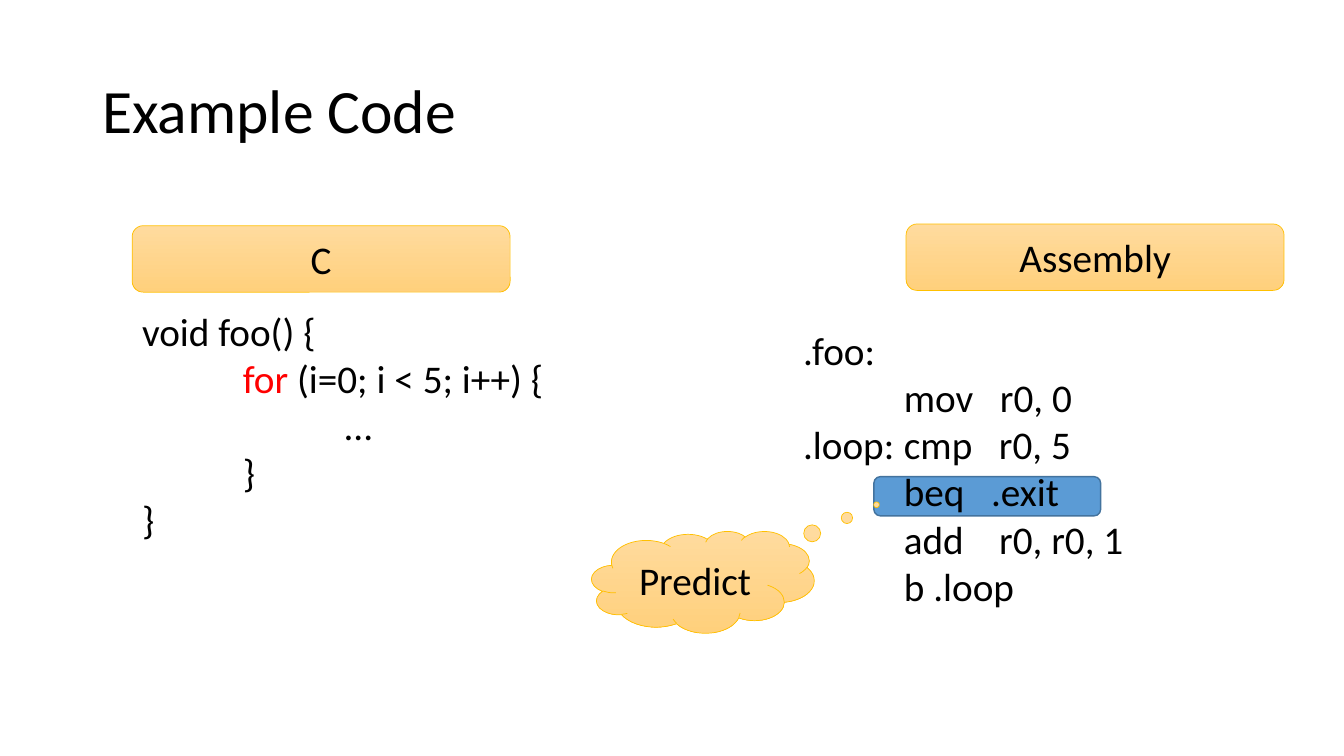
from lxml import etree
from pptx import Presentation
from pptx.dml.color import RGBColor
from pptx.enum.shapes import MSO_SHAPE as Shape
from pptx.enum.text import MSO_ANCHOR as Anchor, MSO_AUTO_SIZE as AutoSize, PP_ALIGN as Align
from pptx.oxml.ns import qn
from pptx.util import Pt

FONT = "Calibri"
BLACK = RGBColor(0x00, 0x00, 0x00)
RED = RGBColor(0xFF, 0x00, 0x00)
BLUE = RGBColor(0x5B, 0x9B, 0xD5)
DARK_BLUE = RGBColor(0x43, 0x73, 0x9E)
GOLD = RGBColor(0xFF, 0xC0, 0x00)
LIGHT_ORANGE = RGBColor(0xFF, 0xDB, 0x9E)
ORANGE = RGBColor(0xFF, 0xD0, 0x7C)

TAB_WIDTH = 72
C_CODE = ["void foo() {", "\tfor (i=0; i < 5; i++) {", "\t\t...", "\t}", "}"]
ASSEMBLY_CODE = [
    ".foo:",
    "\tmov   r0, 0",
    ".loop:\tcmp   r0, 5",
    "\tbeq   .exit",
    "\tadd    r0, r0, 1",
    "\tb .loop",
]


def set_font(font, size, color=BLACK):
    font.name = FONT
    font.size = Pt(size)
    font.color.rgb = color


def add_tab_stops(paragraph, count):
    tab_list = etree.SubElement(paragraph._p.get_or_add_pPr(), qn("a:tabLst"))
    for number in range(1, count + 1):
        position = str(Pt(TAB_WIDTH * number))
        etree.SubElement(tab_list, qn("a:tab"), pos=position, algn="l")


def add_title(slide, text):
    box = slide.shapes.add_textbox(Pt(66), Pt(28.75), Pt(828), Pt(104.4))
    frame = box.text_frame
    frame.word_wrap = True
    frame.vertical_anchor = Anchor.MIDDLE
    paragraph = frame.paragraphs[0]
    paragraph.text = text
    paragraph.line_spacing = 0.9
    set_font(paragraph.font, 44)


def add_code(slide, lines, left, top, width, height, keyword=None):
    """Add a code listing, with the keyword shown in red."""
    box = slide.shapes.add_textbox(Pt(left), Pt(top), Pt(width), Pt(height))
    frame = box.text_frame
    frame.word_wrap = False
    frame.auto_size = AutoSize.SHAPE_TO_FIT_TEXT
    for index, line in enumerate(lines):
        paragraph = frame.add_paragraph() if index else frame.paragraphs[0]
        add_tab_stops(paragraph, 2)
        set_font(paragraph.font, 28)
        if keyword and keyword in line:
            before, after = line.split(keyword, 1)
            for part in (before, keyword, after):
                run = paragraph.add_run()
                run.text = part
                set_font(run.font, 28, RED if part == keyword else BLACK)
        else:
            paragraph.add_run().text = line


def add_outlined_shape(slide, kind, left, top, width, height, line_color, line_width):
    shape = slide.shapes.add_shape(kind, Pt(left), Pt(top), Pt(width), Pt(height))
    shape.shadow.inherit = False
    shape.line.color.rgb = line_color
    shape.line.width = Pt(line_width)
    return shape


def add_highlight(slide, left, top, width, height):
    shape = add_outlined_shape(slide, Shape.ROUNDED_RECTANGLE, left, top, width, height,
                               DARK_BLUE, 1)
    shape.fill.solid()
    shape.fill.fore_color.rgb = BLUE


def add_orange_label(slide, kind, text, left, top, width, height):
    shape = add_outlined_shape(slide, kind, left, top, width, height, GOLD, 0.5)
    shape.fill.gradient()
    shape.fill.gradient_angle = 270
    for stop, position, color in zip(shape.fill.gradient_stops, (0, 1), (LIGHT_ORANGE, ORANGE)):
        stop.position = position
        stop.color.rgb = color
    shape.text_frame.vertical_anchor = Anchor.MIDDLE
    paragraph = shape.text_frame.paragraphs[0]
    paragraph.text = text
    paragraph.alignment = Align.CENTER
    set_font(paragraph.font, 28)
    return shape


def main():
    presentation = Presentation()
    presentation.slide_width = Pt(960)
    presentation.slide_height = Pt(540)
    slide = presentation.slides.add_slide(presentation.slide_layouts[6])

    add_highlight(slide, 624.2, 340.5, 162, 28)
    add_title(slide, "Example Code")
    add_code(slide, C_CODE, 94.4, 216, 304.5, 177, keyword="for")
    add_orange_label(slide, Shape.ROUNDED_RECTANGLE, "C", 94.4, 161.2, 270, 47.5)
    add_orange_label(slide, Shape.ROUNDED_RECTANGLE, "Assembly", 647.2, 160, 270, 47.5)
    add_code(slide, ASSEMBLY_CODE, 566.6, 229.7, 246.3, 210.8)

    callout = add_orange_label(slide, Shape.CLOUD_CALLOUT, "Predict", 422.6, 379.4, 159, 72.7)
    callout.adjustments[0] = 0.78
    callout.adjustments[1] = -0.76

    presentation.save("out.pptx")


if __name__ == "__main__":
    main()
